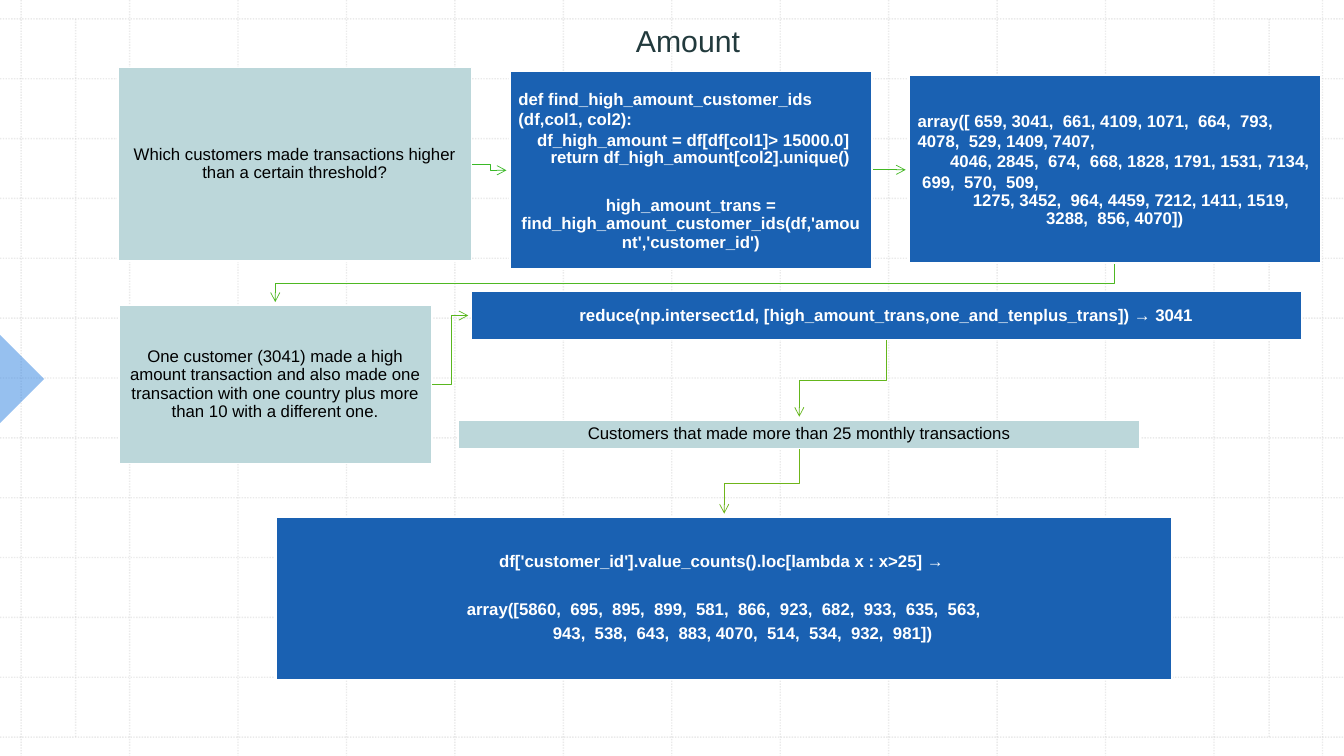
from lxml import etree
from pptx import Presentation
from pptx.dml.color import RGBColor
from pptx.enum.dml import MSO_LINE
from pptx.enum.shapes import MSO_CONNECTOR, MSO_SHAPE
from pptx.enum.text import MSO_ANCHOR, PP_ALIGN
from pptx.oxml.ns import qn
from pptx.util import Pt

STRAIGHT, ELBOW = MSO_CONNECTOR.STRAIGHT, MSO_CONNECTOR.ELBOW
RECTANGLE, TRIANGLE = MSO_SHAPE.RECTANGLE, MSO_SHAPE.RIGHT_TRIANGLE
LEFT, CENTER, MIDDLE = PP_ALIGN.LEFT, PP_ALIGN.CENTER, MSO_ANCHOR.MIDDLE
DOTTED = MSO_LINE.ROUND_DOT

PAGE = (0, 0, 960, 540)
NOTE = {"fill": "BCD7DA", "text": "000000", "bold": False}
CODE = {"fill": "1A61B2", "text": "FFFFFF", "bold": True}
CODE_LINE = {"alignment": LEFT, "line_spacing": 1.0, "space_after": Pt(0)}
AFTER_GAP = {"space_before": Pt(17)}

BOXES = {
    "threshold": ((84.2, 48.2, 252.7, 138.2), NOTE, [
        ("Which customers made transactions higher than a certain threshold?", {}, {})]),
    "function": ((364.3, 51.1, 258.5, 141.1), CODE, [
        ("def find_high_amount_customer_ids (df,col1, col2):", CODE_LINE, {}),
        ("df_high_amount = df[df[col1]> 15000.0]", CODE_LINE, {"marL": 13.3}),
        ("return df_high_amount[col2].unique()", {}, {"marL": 13.3}),
        ("high_amount_trans = find_high_amount_customer_ids(df,'amount','customer_id')",
         AFTER_GAP, {})]),
    "high amounts": ((649.4, 54, 293.8, 133.9), CODE, [
        ("array([ 659, 3041,  661, 4109, 1071,  664,  793, 4078,  529, 1409, 7407,",
         CODE_LINE, {}),
        ("4046, 2845,  674,  668, 1828, 1791, 1531, 7134,  699,  570,  509,",
         CODE_LINE, {"indent": 23.3}),
        ("1275, 3452,  964, 4459, 7212, 1411, 1519, 3288,  856, 4070])",
         {}, {"indent": 23.3})]),
    "one customer": ((85, 218.2, 223.2, 113), NOTE, [
        ("One customer (3041) made a high amount transaction and also made one "
         "transaction with one country plus more than 10 with a different one.", {}, {})]),
    "intersection": ((337, 208.1, 592.6, 34.6), CODE, [
        ("reduce(np.intersect1d, [high_amount_trans,one_and_tenplus_trans]) → 3041", {}, {})]),
    "monthly": ((327.6, 300.2, 486.7, 20.2), NOTE, [
        ("Customers that made more than 25 monthly transactions", {}, {})]),
    "counts": ((197.3, 369.4, 640, 115.9), CODE, [
        ("df['customer_id'].value_counts().loc[lambda x : x>25] → ", {}, {}),
        ("array([5860,  695,  895,  899,  581,  866,  923,  682,  933,  635,  563,",
         AFTER_GAP, {}),
        ("943,  538,  643,  883, 4070,  514,  534,  932,  981])", {}, {"marL": 26.7})]),
}
ARROWS = [
    ("threshold", "function", "across", "3AB927"),
    ("function", "high amounts", "straight", "44B824"),
    ("high amounts", "one customer", "down", "4EB822"),
    ("one customer", "intersection", "across", "59B71F"),
    ("intersection", "monthly", "down", "64B61C"),
    ("monthly", "counts", "down", "6FB51A"),
]


def apply(target, values):
    """Set each named attribute of the target."""
    for name, value in values.items():
        setattr(target, name, value)


def paint(color_format, color, opacity=100):
    """Give a colour format a hex colour and an opacity in percent."""
    color_format.rgb = RGBColor.from_string(color)
    if opacity < 100:
        mark = color_format._xFill.find(qn("a:srgbClr"))
        etree.SubElement(mark, qn("a:alpha")).set("val", str(opacity * 1000))


def draw_line(page, kind, ends, color, width):
    """Draw a connector without shadow between two points."""
    line = page.shapes.add_connector(kind, *(Pt(value) for value in ends))
    line.line.width = Pt(width)
    line.line.fill.solid()
    paint(line.line.fill.fore_color, color)
    etree.SubElement(line._element.spPr, qn("a:effectLst"))
    return line


def draw_grid(page, area):
    """Cover the area with faint dotted lines at equal steps."""
    left, top, width, height = area
    columns = [left + 15.1 + step * 77.46 for step in range(13)]
    rows = [top + 13.5 + step * 42.75 for step in range(13)]
    ends = [(x, top, x, top + height) for x in columns]
    ends += [(left, y, left + width, y) for y in rows]
    ends += [(x, rows[0], x, rows[-1]) for x in (left + 54, left + 906.5)]
    for end in ends:
        line = draw_line(page, STRAIGHT, end, "BCBCBC", 1)
        line.line.dash_style = DOTTED
        mark = line._element.spPr.find(".//" + qn("a:srgbClr"))
        etree.SubElement(mark, qn("a:alpha")).set("val", "30000")


def add_block(page, kind, area, color):
    """Add a plain filled preset shape."""
    block = page.shapes.add_shape(kind, *(Pt(value) for value in area))
    block.shadow.inherit = False
    block.fill.solid()
    paint(block.fill.fore_color, color)
    return block


def draw_marker(page, area):
    """Place the translucent pointer at the left edge."""
    marker = add_block(page, TRIANGLE, area, "2F82E1")
    marker.rotation = 225
    marker.line.fill.background()
    mark = marker._element.spPr.find(".//" + qn("a:srgbClr"))
    etree.SubElement(mark, qn("a:alpha")).set("val", "50000")


def write_title(page, area, text):
    """Move, fill and format the title placeholder."""
    title = page.shapes.title
    apply(title, dict(zip(("left", "top", "width", "height"), map(Pt, area))))
    title.text_frame.text = text
    title.text_frame.vertical_anchor = MIDDLE
    para = title.text_frame.paragraphs[0]
    para.alignment = CENTER
    apply(para.font, {"name": "Arial", "size": Pt(21.6), "bold": False})
    paint(para.font.color, "223A3D")


def write_box(page, area, style, lines):
    """Draw one step of the flow with its paragraphs."""
    box = add_block(page, RECTANGLE, area, style["fill"])
    box.line.width = Pt(1)
    paint(box.line.color, "FFFFFF")
    frame = box.text_frame
    apply(frame, {"word_wrap": True, "vertical_anchor": MIDDLE})
    apply(frame, {f"margin_{side}": Pt(6) for side in ("left", "right", "top", "bottom")})
    for number, (text, values, indents) in enumerate(lines):
        para = frame.add_paragraph() if number else frame.paragraphs[0]
        base = {"alignment": CENTER, "line_spacing": 0.9, "space_after": Pt(4.2)}
        apply(para, {**base, **values})
        for name, value in indents.items():
            para._p.get_or_add_pPr().set(name, str(Pt(value)))
        span = para.add_run()
        span.text = text
        apply(span.font, {"name": "Arial", "size": Pt(12), "bold": style["bold"]})
        paint(span.font.color, style["text"])


def draw_arrow(page, source, target, route, color):
    """Link two boxes sideways or from bottom to top."""
    left, top, width, height = source
    next_left, next_top, next_width, next_height = target
    if route == "down":
        start, end = left + width / 2, next_left + next_width / 2
        low, high = top + height, next_top - 2.5
        middle_x, middle_y = (start + end) / 2, (low + high) / 2
        half_x, half_y = (high - low) / 2, (start - end) / 2
        ends = (middle_x - half_x, middle_y - half_y, middle_x + half_x, middle_y + half_y)
    else:
        start_y, end_y = top + height / 2, next_top + next_height / 2
        if route == "straight":
            start_y = end_y = (start_y + end_y) / 2
        ends = (left + width, start_y, next_left - 2.5, end_y)
    arrow = draw_line(page, STRAIGHT if route == "straight" else ELBOW, ends, color, 0.5)
    properties = arrow._element.spPr
    if route == "down":
        properties.find(qn("a:xfrm")).set("rot", "5400000")
    if route != "straight":
        guide = etree.SubElement(properties.find(".//" + qn("a:avLst")), qn("a:gd"))
        guide.set("name", "adj1")
        guide.set("fmla", "val 53000")
    etree.SubElement(properties.find(qn("a:ln")), qn("a:tailEnd")).set("type", "arrow")


def build_flow(page, area):
    """Place the whole flow of arrows and boxes in the area."""
    left, top = area[:2]
    places = {name: (left + box[0][0], top + box[0][1], *box[0][2:])
              for name, box in BOXES.items()}
    for source, target, route, color in ARROWS:
        draw_arrow(page, places[source], places[target], route, color)
    for name, (_, style, lines) in BOXES.items():
        write_box(page, places[name], style, lines)


deck = Presentation()
apply(deck, {"slide_width": Pt(PAGE[2]), "slide_height": Pt(PAGE[3])})
page = deck.slides.add_slide(deck.slide_layouts[5])
draw_grid(page, PAGE)
draw_marker(page, (-22.3, 248.4, 44.6, 44.6))
write_title(page, (38.2, 13.7, 906.5, 30.2), "Amount")
build_flow(page, PAGE)
deck.save("out.pptx")
